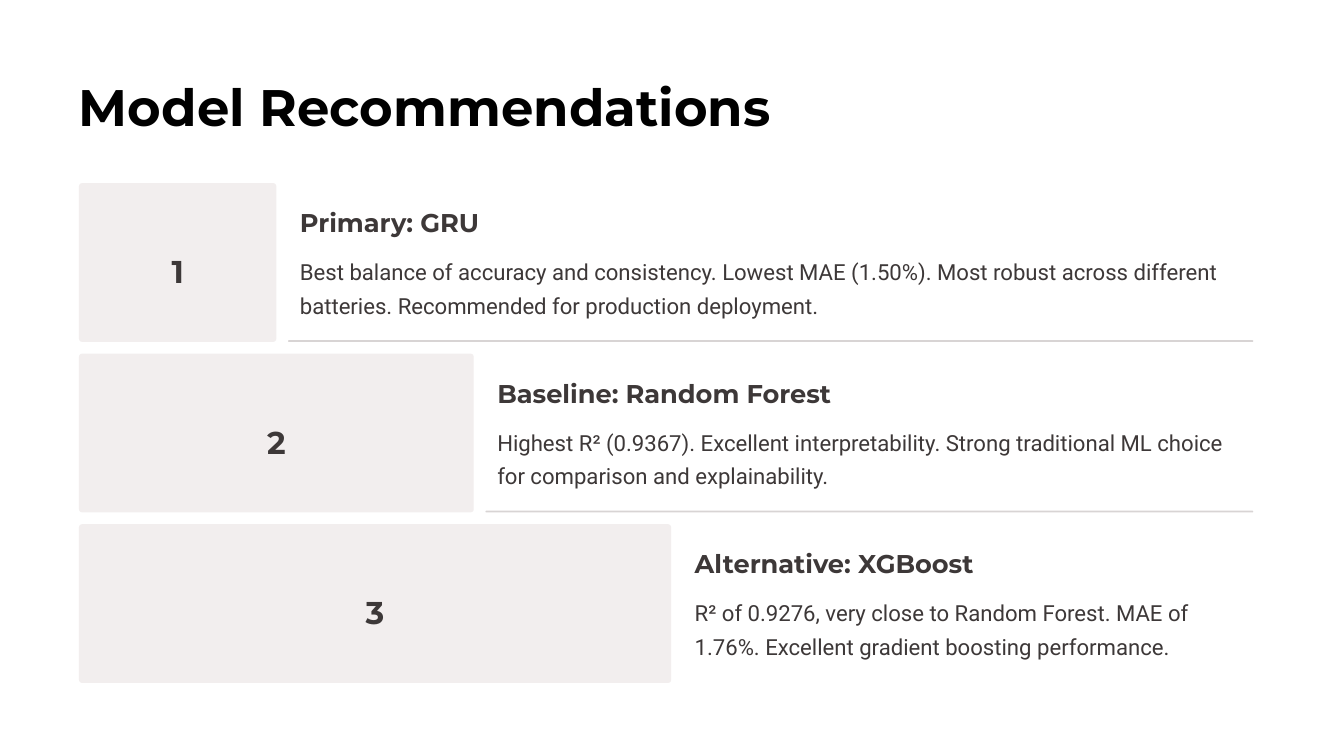
from pptx import Presentation
from pptx import util as u
from pptx.dml.color import RGBColor
from pptx.enum import shapes, text

COLORS = {"title": "000000", "ink": "3D3838", "block": "F2EEEE", "rule": "D8D4D4"}
LEFT, TOP, PITCH = 0.94, 2.18, 2.03
STEP, BLOCK_H = 2.35, 1.89
TEXT_RIGHT, RULE_RIGHT = 14.79, 14.92
MODELS = [
    ("Primary: GRU", 3.07,
     "Best balance of accuracy and consistency. Lowest MAE (1.50%). Most robust "
     "across different batteries. Recommended for production deployment."),
    ("Baseline: Random Forest", 4,
     "Highest R² (0.9367). Excellent interpretability. Strong traditional ML "
     "choice for comparison and explainability."),
    ("Alternative: XGBoost", 3.33,
     "R² of 0.9276, very close to Random Forest. MAE of 1.76%. Excellent "
     "gradient boosting performance."),
]


class Deck:
    """Hold the style and the current slide, and add its elements."""

    def __init__(self):
        self.prs = Presentation()
        self.prs.slide_width, self.prs.slide_height = u.Inches(16), u.Inches(9)
        self.s = self.prs.slides.add_slide(self.prs.slide_layouts[5])

    def set_text(self, sp, words, size, leading, font="Montserrat", bold=True,
                 color="ink", align=text.PP_ALIGN.LEFT, wrap=False):
        tf = sp.text_frame
        tf.text = words
        tf.word_wrap = wrap
        tf.auto_size = text.MSO_AUTO_SIZE.NONE
        tf.vertical_anchor = text.MSO_ANCHOR.TOP
        tf.margin_left = tf.margin_top = tf.margin_right = tf.margin_bottom = 0
        p = tf.paragraphs[0]
        p.alignment, p.line_spacing = align, u.Pt(leading)
        p.space_before = u.Pt(0)
        p.font.name, p.font.size, p.font.bold = font, u.Pt(size), bold
        p.font.color.rgb = RGBColor.from_string(COLORS[color])

    def title(self, words, *box):
        sp = self.s.shapes.title
        sp.left, sp.top, sp.width, sp.height = map(u.Inches, box)
        self.set_text(sp, words, 44, 55, color="title")

    def label(self, words, box, size, leading, **style):
        sp = self.s.shapes.add_textbox(*map(u.Inches, box))
        self.set_text(sp, words, size, leading, **style)

    def bar(self, color, radius, *box):
        sp = self.s.shapes.add_shape(
            shapes.MSO_SHAPE.ROUNDED_RECTANGLE, *map(u.Inches, box))
        sp.adjustments[0] = radius
        sp.shadow.inherit = False
        sp.fill.solid()
        sp.fill.fore_color.rgb = RGBColor.from_string(COLORS[color])
        sp.line.fill.background()


def main():
    deck = Deck()
    deck.title("Model Recommendations", LEFT, 0.87, 8.26, 0.77)
    for i, (heading, heading_w, body) in enumerate(MODELS):
        top, width = TOP + i * PITCH, STEP * (i + 1)
        right = LEFT + width
        x = right + 0.28
        deck.bar("block", 0.02, LEFT, top, width, BLOCK_H)
        deck.label(str(i + 1), (LEFT + width / 2 - 0.19, top + 0.71, 0.38, 0.47),
                   27, 40.5, align=text.PP_ALIGN.CENTER)
        deck.label(heading, (x, top + 0.27, heading_w, 0.38), 22, 27.5)
        deck.label(body, (x, top + 0.81, TEXT_RIGHT - x, 0.81), 19, 29,
                   font="Roboto", bold=False, wrap=True)
        if i < len(MODELS) - 1:
            rule_x = right + 0.14
            deck.bar("rule", 0.5, rule_x, top + 1.87, RULE_RIGHT - rule_x, 0.02)
    deck.prs.save("out.pptx")


if __name__ == "__main__":
    main()
